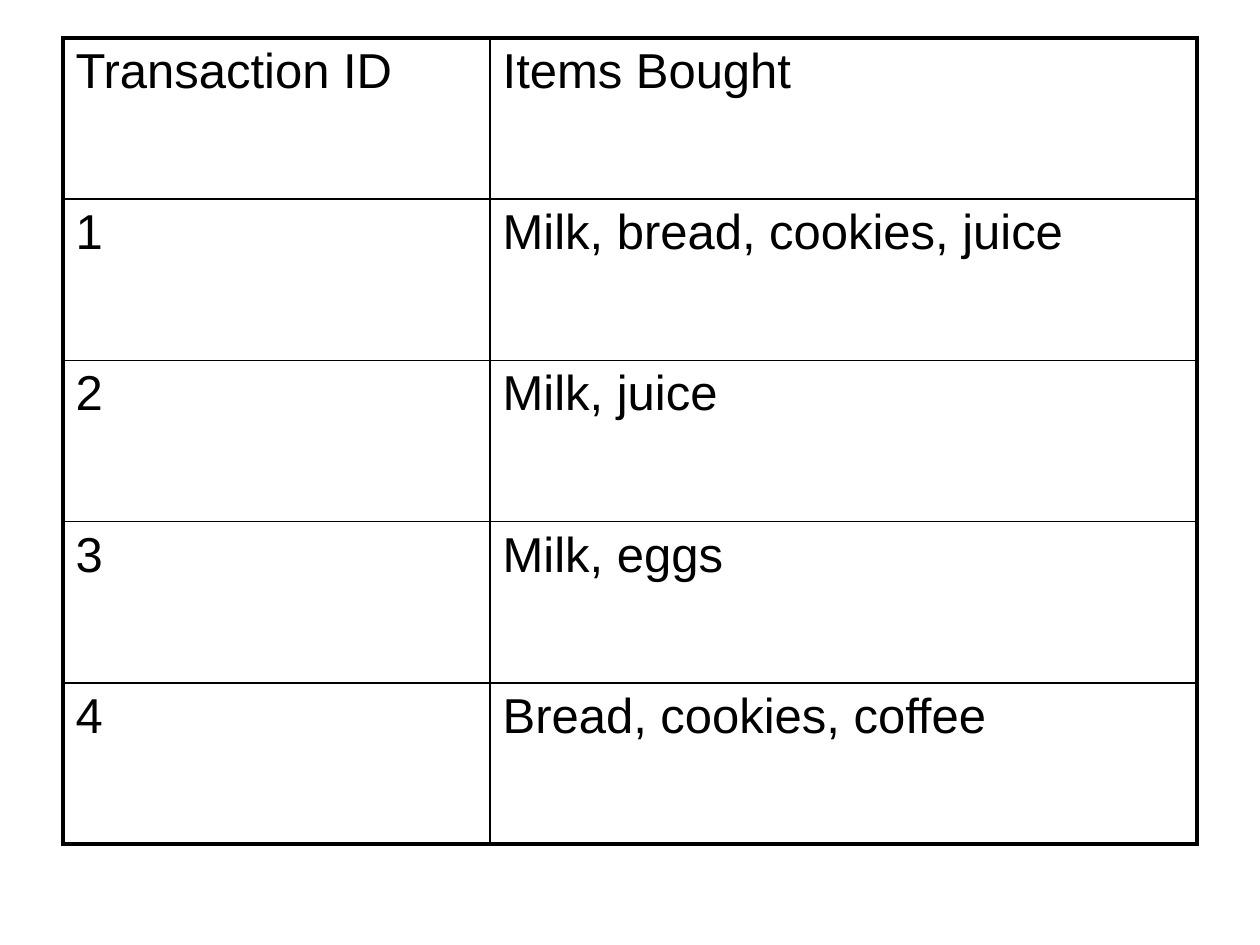
import dataclasses

import pptx
import pptx.dml.color
import pptx.oxml
import pptx.oxml.ns
import pptx.util


@dataclasses.dataclass(frozen=True)
class Theme:
    """Colours, type and line weights of the deck."""
    ink: str = "000000"
    paper: str = "FFFFFF"
    font: str = "Arial"
    size: float = 28
    frame: float = 2.25
    rule: float = 1


THEME = Theme()
SLIDE_WIDTH = pptx.util.Inches(10)
SLIDE_HEIGHT = pptx.util.Inches(7.5)
TABLE_BOX = (0.05, 0.04, 0.9, 6.4 / 7.5)
COLUMN_WIDTHS = (3.39, 5.61)
TRANSACTIONS = (
    ("Transaction ID", "Items Bought"),
    ("1", "Milk, bread, cookies, juice"),
    ("2", "Milk, juice"),
    ("3", "Milk, eggs"),
    ("4", "Bread, cookies, coffee"),
)


def set_borders(cell, outer_sides):
    """Draw heavy lines on the outer sides of a cell and thin ones elsewhere."""
    properties = cell._tc.get_or_add_tcPr()
    for position, side in enumerate("LRTB"):
        weight = THEME.frame if side in outer_sides else THEME.rule
        line = pptx.oxml.parse_xml(
            f'<a:ln{side} {pptx.oxml.ns.nsdecls("a")} w="{pptx.util.Pt(weight)}">'
            f'<a:solidFill><a:srgbClr val="{THEME.ink}"/></a:solidFill></a:ln{side}>'
        )
        properties.insert(position, line)


def write_cell(cell, text):
    """Fill a cell with one styled paragraph."""
    cell.fill.solid()
    cell.fill.fore_color.rgb = pptx.dml.color.RGBColor.from_string(THEME.paper)
    para = cell.text_frame.paragraphs[0]
    spacing = pptx.oxml.parse_xml(
        f'<a:spcBef {pptx.oxml.ns.nsdecls("a")}><a:spcPct val="20000"/></a:spcBef>'
    )
    para._p.get_or_add_pPr().append(spacing)
    span = para.add_run()
    span.text = text
    font_format = {"name": THEME.font, "size": pptx.util.Pt(THEME.size), "bold": False}
    for attribute, value in font_format.items():
        setattr(span.font, attribute, value)
    span.font.color.rgb = pptx.dml.color.RGBColor.from_string(THEME.ink)


def add_transaction_table(page, box):
    """Place the transaction table in a box given as shares of the slide."""
    left, top, width, height = (
        round(share * length)
        for share, length in zip(box, (SLIDE_WIDTH, SLIDE_HEIGHT) * 2)
    )
    row_count, column_count = len(TRANSACTIONS), len(COLUMN_WIDTHS)
    table = page.shapes.add_table(
        row_count, column_count, left, top, width, height
    ).table
    for flag in ("first_row", "horz_banding"):
        setattr(table, flag, False)
    for column, share in zip(table.columns, COLUMN_WIDTHS):
        column.width = round(width * share / sum(COLUMN_WIDTHS))
    for row_index, texts in enumerate(TRANSACTIONS):
        for column_index, text in enumerate(texts):
            cell = table.cell(row_index, column_index)
            edges = {
                "L": column_index == 0,
                "R": column_index == column_count - 1,
                "T": row_index == 0,
                "B": row_index == row_count - 1,
            }
            write_cell(cell, text)
            set_borders(cell, [side for side, outer in edges.items() if outer])


def main():
    """Build and save the deck."""
    deck = pptx.Presentation()
    deck.slide_width, deck.slide_height = SLIDE_WIDTH, SLIDE_HEIGHT
    page = deck.slides.add_slide(deck.slide_layouts.get_by_name("Blank"))
    add_transaction_table(page, TABLE_BOX)
    deck.save("out.pptx")


if __name__ == "__main__":
    main()
